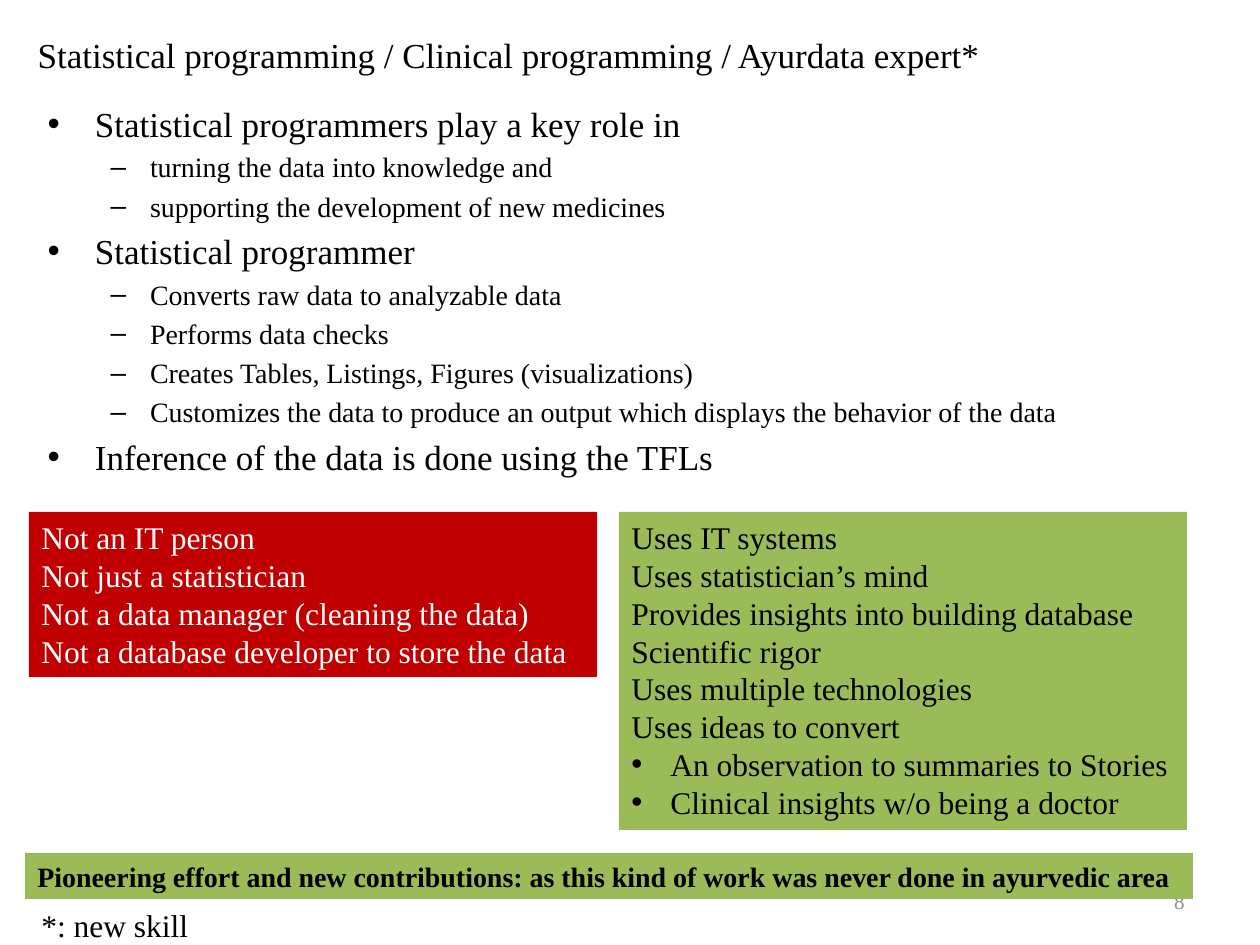
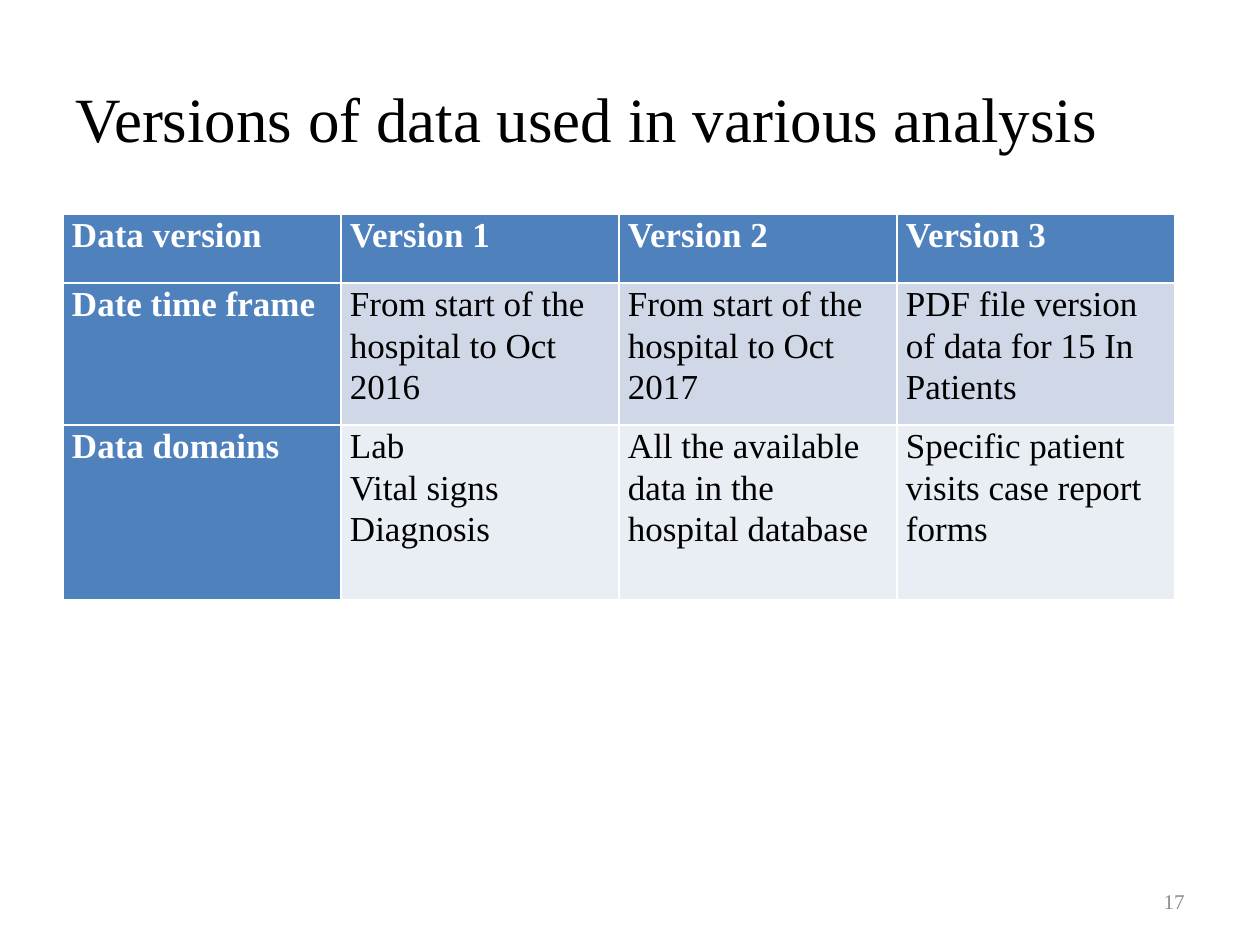
import pptx
import pptx.dml.color
import pptx.enum.shapes
import pptx.enum.text
import pptx.oxml.ns
import pptx.util
from dataclasses import dataclass
from lxml import etree

ALIGN = pptx.enum.text.PP_ALIGN
ANCHOR = pptx.enum.text.MSO_ANCHOR
PX_PER_INCH = 126


@dataclass(frozen=True)
class Theme:
    font: str = "Times New Roman"
    black: str = "000000"
    white: str = "FFFFFF"
    grey: str = "8C8C8C"
    red: str = "C00000"
    green: str = "9BBB59"
    blue: str = "4F81BD"
    bands: tuple = ("D0D8E8", "E9EDF4")
    large_title: int = 36
    heading: int = 20
    box_text: int = 18
    detail: int = 16
    number: int = 12


THEME = Theme()

ROLE_TITLE = "Statistical programming / Clinical programming / Ayurdata expert*"
ROLE_POINTS = [  # (outline level, text)
    (0, "Statistical programmers play a key role in"),
    (1, "turning the data into knowledge and"),
    (1, "supporting the development of new medicines"),
    (0, "Statistical programmer"),
    (1, "Converts raw data to analyzable data"),
    (1, "Performs data checks"),
    (1, "Creates Tables, Listings, Figures (visualizations)"),
    (1, "Customizes the data to produce an output which displays the behavior of the data"),
    (0, "Inference of the data is done using the TFLs"),
]
IS_NOT = [
    "Not an IT person",
    "Not just a statistician",
    "Not a data manager (cleaning the data)",
    "Not a database developer to store the data",
]
DOES = [
    "Uses IT systems",
    "Uses statistician’s mind",
    "Provides insights into building database",
    "Scientific rigor",
    "Uses multiple technologies",
    "Uses ideas to convert",
]
CONVERSIONS = [
    "An observation to summaries to Stories",
    "Clinical insights w/o being a doctor",
]
PIONEERING = ("Pioneering effort and new contributions: "
              "as this kind of work was never done in ayurvedic area")
FOOTNOTE = "*: new skill"

VERSIONS_TITLE = "Versions of data used in various analysis"
VERSIONS = [
    ["Data version", "Version 1", "Version 2", "Version 3"],
    ["Date time frame", "From start of the hospital to Oct 2016",
     "From start of the hospital to Oct 2017",
     "PDF file version of data for 15 In Patients"],
    ["Data domains", "Lab\nVital signs\nDiagnosis",
     "All the available data in the hospital database",
     "Specific patient visits case report forms"],
]
ROW_HEIGHTS = [69, 142, 175]
COLUMN_WIDTH = 278


def px(length):
    return pptx.util.Emu(round(length * 914400 / PX_PER_INCH))


def rgb(colour):
    return pptx.dml.color.RGBColor.from_string(colour)


def place(shape, left, top, width, height):
    shape.left, shape.top = px(left), px(top)
    shape.width, shape.height = px(width), px(height)


def style(para, size, colour=THEME.black, bold=False, align=ALIGN.LEFT):
    para.alignment = align
    para.font.name = THEME.font
    para.font.size = pptx.util.Pt(size)
    para.font.bold = bold
    para.font.color.rgb = rgb(colour)


def add_bullet(para, indent):
    properties = para._p.get_or_add_pPr()
    properties.set("marL", str(px(indent)))
    properties.set("indent", str(-px(indent)))
    etree.SubElement(properties, pptx.oxml.ns.qn("a:buFont")).set("typeface", "Arial")
    etree.SubElement(properties, pptx.oxml.ns.qn("a:buChar")).set("char", "•")


def set_title(page, text, bounds, size):
    title = page.shapes.title
    place(title, *bounds)
    title.text_frame.text = text
    title.text_frame.auto_size = pptx.enum.text.MSO_AUTO_SIZE.NONE
    title.text_frame.vertical_anchor = ANCHOR.MIDDLE
    style(title.text_frame.paragraphs[0], size)


def add_text(page, bounds, text, size, colour=THEME.black, align=ALIGN.LEFT,
             anchor=ANCHOR.TOP):
    box = page.shapes.add_textbox(*map(px, bounds))
    box.text_frame.word_wrap = True
    box.text_frame.vertical_anchor = anchor
    box.text_frame.text = text
    style(box.text_frame.paragraphs[0], size, colour, align=align)


def add_page_number(page, number):
    add_text(page, (903, 876, 294, 50), str(number), THEME.number, THEME.grey,
             ALIGN.RIGHT, ANCHOR.MIDDLE)


def add_panel(page, bounds, fill, lines, size, colour=THEME.black, bold=False, bullets=()):
    """Add a filled rectangle holding plain lines and then bulleted ones."""
    panel = page.shapes.add_shape(pptx.enum.shapes.MSO_SHAPE.RECTANGLE, *map(px, bounds))
    panel.shadow.inherit = False
    panel.fill.solid()
    panel.fill.fore_color.rgb = rgb(fill)
    panel.line.fill.background()
    frame = panel.text_frame
    frame.word_wrap = True
    frame.vertical_anchor = ANCHOR.TOP
    frame.text = "\n".join([*lines, *bullets])
    for index, para in enumerate(frame.paragraphs):
        if index >= len(lines):
            add_bullet(para, 39)
        style(para, size, colour, bold)


def build_role_page(deck):
    page = deck.slides.add_slide(deck.slide_layouts.get_by_name("Title and Content"))
    set_title(page, ROLE_TITLE, (25, 6, 1113, 97), THEME.heading)

    body = page.placeholders[1]
    place(body, 35, 96, 1134, 417)
    frame = body.text_frame
    frame.text = "\n".join(text for _, text in ROLE_POINTS)
    frame.auto_size = pptx.enum.text.MSO_AUTO_SIZE.NONE
    for para, (level, _) in zip(frame.paragraphs, ROLE_POINTS):
        para.level = level
        style(para, THEME.detail if level else THEME.heading)
    frame.paragraphs[0].space_before = pptx.util.Pt(0)

    add_page_number(page, 8)
    add_panel(page, (29, 512, 568, 165), THEME.red, IS_NOT, THEME.box_text, THEME.white)
    add_panel(page, (619, 512, 568, 318), THEME.green, DOES, THEME.box_text,
              bullets=CONVERSIONS)
    add_panel(page, (25, 853, 1168, 46), THEME.green, [PIONEERING], THEME.detail, bold=True)
    add_text(page, (29, 900, 363, 50), FOOTNOTE, THEME.box_text)


def fill_cell(cell, text, fill, is_header):
    cell.fill.solid()
    cell.fill.fore_color.rgb = rgb(fill)
    cell.margin_left = cell.margin_right = px(9)
    cell.margin_top = cell.margin_bottom = 0
    cell.text = text
    for para in cell.text_frame.paragraphs:
        para.line_spacing = 1.07
        style(para, THEME.heading, THEME.white if is_header else THEME.black, is_header)


def build_versions_page(deck):
    page = deck.slides.add_slide(deck.slide_layouts.get_by_name("Title Only"))
    set_title(page, VERSIONS_TITLE, (63, 38, 1134, 158), THEME.large_title)
    add_page_number(page, 17)

    column_count = len(VERSIONS[0])
    bounds = (63, 214, COLUMN_WIDTH * column_count, sum(ROW_HEIGHTS))
    table = page.shapes.add_table(len(VERSIONS), column_count, *map(px, bounds)).table
    table.first_col = True
    for column in table.columns:
        column.width = px(COLUMN_WIDTH)
    for row_index, (texts, height) in enumerate(zip(VERSIONS, ROW_HEIGHTS)):
        table.rows[row_index].height = px(height)
        for column_index, text in enumerate(texts):
            is_header = row_index == 0 or column_index == 0
            fill = THEME.blue if is_header else THEME.bands[(row_index - 1) % 2]
            fill_cell(table.cell(row_index, column_index), text, fill, is_header)


def main():
    deck = pptx.Presentation()
    deck.slide_width, deck.slide_height = px(1260), px(945)
    build_role_page(deck)
    build_versions_page(deck)
    deck.save("out.pptx")


if __name__ == "__main__":
    main()
